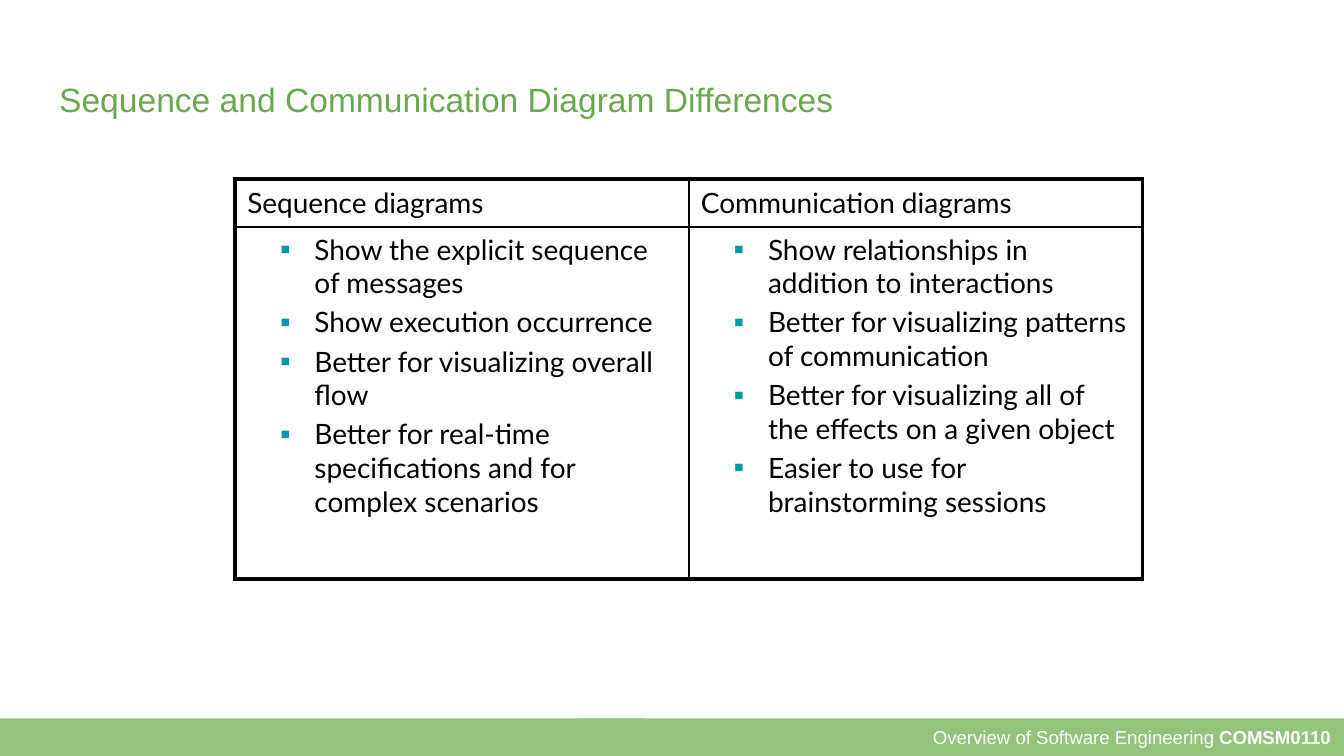
from dataclasses import dataclass

from lxml import etree
from pptx import Presentation
from pptx import util as u
from pptx.dml.color import RGBColor
from pptx.enum import shapes, text
from pptx.oxml import ns

BLACK = RGBColor(0x00, 0x00, 0x00)
WHITE = RGBColor(0xFF, 0xFF, 0xFF)
TITLE_GREEN = RGBColor(0x6A, 0xA8, 0x4F)
FOOTER_GREEN = RGBColor(0x93, 0xC4, 0x7D)
BULLET_TEAL = RGBColor(0x00, 0x97, 0xA7)
OUTER_LINE, INNER_LINE = u.Pt(2.25), u.Pt(1)
SLIDE_WIDTH = u.Inches(10)
SLIDE_HEIGHT = SLIDE_WIDTH * 9 // 16
FOOTER_HEIGHT = u.Inches(0.28)


@dataclass(frozen=True)
class Diagram:
    heading: str
    traits: tuple[str, ...]


DIAGRAMS = (
    Diagram("Sequence diagrams", (
        "Show the explicit sequence of messages",
        "Show execution occurrence",
        "Better for visualizing overall flow",
        "Better for real-time specifications and for complex scenarios",
    )),
    Diagram("Communication diagrams", (
        "Show relationships in addition to interactions",
        "Better for visualizing patterns of communication",
        "Better for visualizing all of the effects on a given object",
        "Easier to use for brainstorming sessions",
    )),
)


def add_child(parent, tag: str, **attributes: str):
    return etree.SubElement(parent, ns.qn(tag), attributes)


def style_font(font, name: str, size: float, color: RGBColor) -> None:
    font.name, font.size = name, u.Pt(size)
    font.color.rgb = color


def set_insets(target, horizontal: float, vertical: float) -> None:
    target.margin_left = target.margin_right = u.Inches(horizontal)
    target.margin_top = target.margin_bottom = u.Inches(vertical)


def add_footer_band(slide, left: float, width: float):
    band = slide.shapes.add_shape(
        shapes.MSO_SHAPE.RECTANGLE, u.Inches(left),
        SLIDE_HEIGHT - FOOTER_HEIGHT, u.Inches(width), FOOTER_HEIGHT)
    band.shadow.inherit = False
    band.fill.solid()
    band.fill.fore_color.rgb = FOOTER_GREEN
    band.line.fill.background()
    return band


def add_footer(slide) -> None:
    course_band = add_footer_band(slide, 4.34, 5.66)
    add_footer_band(slide, 0, 4.78)
    frame = course_band.text_frame
    set_insets(frame, 0.1, 0.1)
    frame.vertical_anchor = text.MSO_ANCHOR.MIDDLE
    course = frame.paragraphs[0]
    course.alignment = text.PP_ALIGN.RIGHT
    style_font(course.font, "Arial", 10, WHITE)
    course.add_run().text = "Overview of Software Engineering "
    code = course.add_run()
    code.text = "COMSM0110"
    code.font.bold = True


def fill_title(title) -> None:
    title.left, title.top = u.Inches(0.34), u.Inches(0.49)
    title.width, title.height = u.Inches(9.32), u.Inches(0.63)
    frame = title.text_frame
    frame.text = "Sequence and Communication Diagram Differences"
    frame.auto_size = text.MSO_AUTO_SIZE.NONE
    frame.vertical_anchor = text.MSO_ANCHOR.TOP
    set_insets(frame, 0.1, 0.1)
    heading = frame.paragraphs[0]
    heading.alignment = text.PP_ALIGN.LEFT
    style_font(heading.font, "Arial", 18, TITLE_GREEN)


def add_bullet(paragraph) -> None:
    paragraph.level = 1
    properties = paragraph._p.get_or_add_pPr()
    properties.set("marL", str(u.Inches(0.5)))
    properties.set("indent", str(u.Inches(-0.25)))
    color = add_child(properties, "a:buClr")
    add_child(color, "a:srgbClr", val=str(BULLET_TEAL))
    add_child(properties, "a:buSzPct", val="55000")
    add_child(properties, "a:buFont", typeface="Arial")
    add_child(properties, "a:buChar", char="■")


def set_borders(cell, row: int, column: int) -> None:
    """Thick lines around the two-by-two table, thin ones inside."""
    outer = {"L": column == 0, "R": column == 1, "T": row == 0, "B": row == 1}
    properties = cell._tc.get_or_add_tcPr()
    for side, is_outer in outer.items():
        width = OUTER_LINE if is_outer else INNER_LINE
        line = add_child(properties, f"a:ln{side}", w=str(width))
        fill = add_child(line, "a:solidFill")
        add_child(fill, "a:srgbClr", val=str(BLACK))


def fill_cell(cell, lines: tuple[str, ...], bulleted: bool) -> None:
    cell.fill.background()
    set_insets(cell, 0.09, 0.04)
    cell.text_frame.text = "\n".join(lines)
    for paragraph in cell.text_frame.paragraphs:
        if bulleted:
            add_bullet(paragraph)
        paragraph.space_before = u.Pt(3)
        style_font(paragraph.font, "Lato", 15, BLACK)


def add_comparison(slide) -> None:
    table = slide.shapes.add_table(
        2, len(DIAGRAMS), u.Inches(1.75), u.Inches(1.33),
        u.Inches(6.75), u.Inches(2.98)).table
    table.first_row = table.horz_banding = False
    table.rows[0].height, table.rows[1].height = u.Inches(0.36), u.Inches(2.62)
    for column, diagram in enumerate(DIAGRAMS):
        for row, lines in enumerate(((diagram.heading,), diagram.traits)):
            cell = table.cell(row, column)
            set_borders(cell, row, column)
            fill_cell(cell, lines, bulleted=row == 1)
        table.cell(0, column).vertical_anchor = text.MSO_ANCHOR.MIDDLE


def main() -> None:
    deck = Presentation()
    deck.slide_width, deck.slide_height = SLIDE_WIDTH, SLIDE_HEIGHT
    slide = deck.slides.add_slide(deck.slide_layouts.get_by_name("Title Only"))
    add_footer(slide)
    fill_title(slide.shapes.title)
    add_comparison(slide)
    deck.save("out.pptx")


if __name__ == "__main__":
    main()
